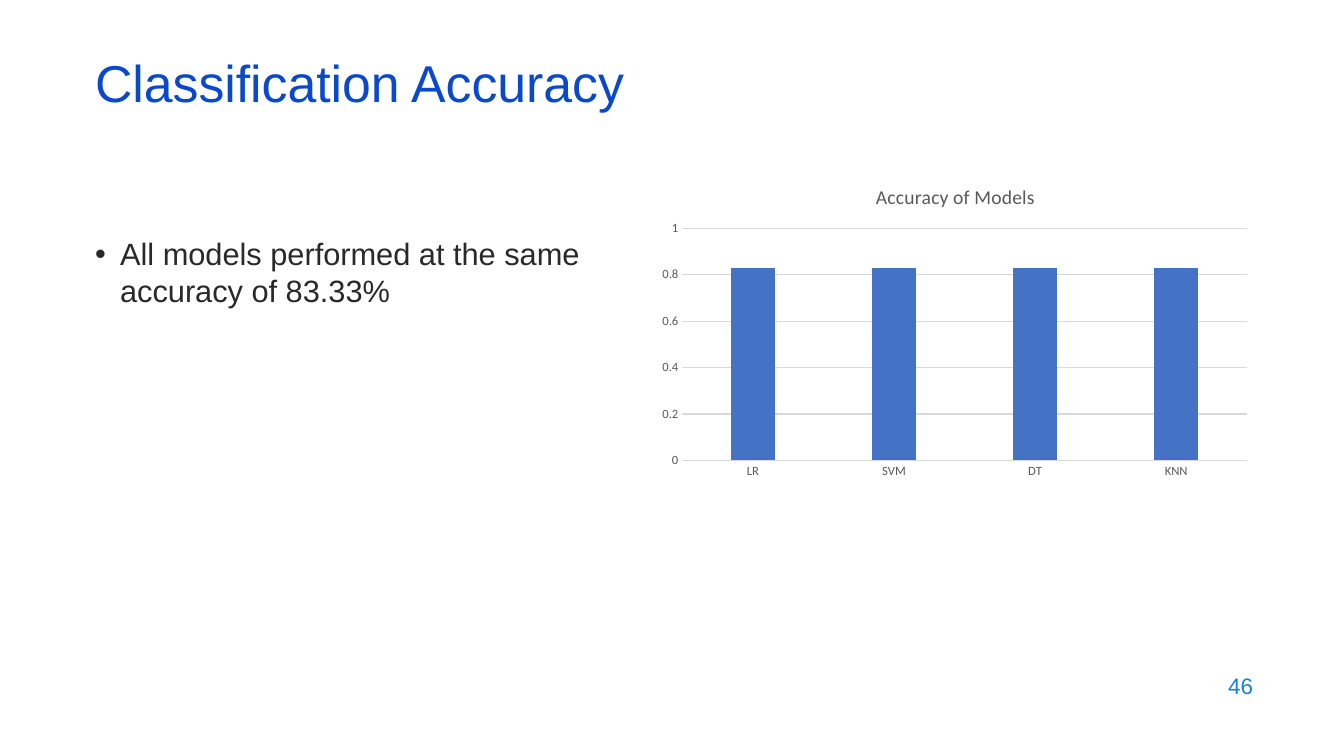
from lxml import etree
from pptx import Presentation, util as u
from pptx.chart.data import CategoryChartData
from pptx.dml.color import RGBColor
from pptx.enum import chart as ch, text as tx
from pptx.oxml import parse_xml
from pptx.oxml.ns import nsdecls, qn

PX = 914400 / 100.8
TITLE_BLUE = RGBColor(0x0B, 0x49, 0xCB)
NUMBER_BLUE = RGBColor(0x1C, 0x7D, 0xDB)
INK = RGBColor(0x29, 0x29, 0x29)
LABEL_GREY = RGBColor(0x59, 0x59, 0x59)
GRID_GREY = RGBColor(0xD9, 0xD9, 0xD9)
BAR_BLUE = RGBColor(0x44, 0x72, 0xC4)


def box(*lengths):
    return [u.Emu(round(length * PX)) for length in lengths]


def style(font, name, size, color):
    font.name = name
    font.size = u.Pt(size)
    font.color.rgb = color
    font.bold = False


deck = Presentation()
deck.slide_width, deck.slide_height = box(1344, 756)
slide = deck.slides.add_slide(deck.slide_layouts[1])

heading = slide.shapes.title
finding = slide.placeholders[1]
page_number = slide.shapes.add_textbox(*box(961, 664, 302, 44))
parts = [
    (heading, "Classification Accuracy", (85, 59, 1159, 60), 37, TITLE_BLUE,
     tx.PP_ALIGN.LEFT, tx.MSO_ANCHOR.MIDDLE),
    (finding, "All models performed at the same accuracy of 83.33%", (85, 230, 587, 420), 22, INK,
     tx.PP_ALIGN.LEFT, tx.MSO_ANCHOR.TOP),
    (page_number, "46", (961, 664, 302, 44), 16, NUMBER_BLUE,
     tx.PP_ALIGN.RIGHT, tx.MSO_ANCHOR.MIDDLE),
]
for part, words, place, size, color, align, anchor in parts:
    part.left, part.top, part.width, part.height = box(*place)
    frame = part.text_frame
    frame.text = words
    frame.word_wrap = True
    frame.auto_size = tx.MSO_AUTO_SIZE.NONE
    frame.vertical_anchor = anchor
    paragraph = frame.paragraphs[0]
    paragraph.alignment = align
    paragraph.space_before = u.Pt(0)
    if part is finding:
        indent = box(25)[0]
        properties = paragraph._p.get_or_add_pPr()
        properties.set("marL", str(indent))
        properties.set("indent", str(-indent))
        etree.SubElement(properties, qn("a:buChar")).set("char", "•")
    style(paragraph.font, "Arial", size, color)
heading.text_frame.paragraphs[0].line_spacing = 0.7

accuracy = CategoryChartData()
accuracy.categories = ["LR", "SVM", "DT", "KNN"]
accuracy.add_series("Series 1", [0.83] * 4)
chart = slide.shapes.add_chart(
    ch.XL_CHART_TYPE.COLUMN_CLUSTERED, *box(652, 168, 607, 318), accuracy).chart
style(chart.font, "Calibri", 10, LABEL_GREY)
chart.has_legend = False
chart.has_title = True
chart.chart_title.include_in_layout = False
chart_heading = chart.chart_title.text_frame
chart_heading.text = "Accuracy of Models"
style(chart_heading.paragraphs[0].font, "Calibri", 14, LABEL_GREY)

bars = chart.plots[0]
bars.gap_width = 219
bars.overlap = -27
bars.vary_by_categories = False
bars.series[0].format.fill.solid()
bars.series[0].format.fill.fore_color.rgb = BAR_BLUE

models, scores = chart.category_axis, chart.value_axis
for axis in (models, scores):
    axis.major_tick_mark = ch.XL_TICK_MARK.NONE
    axis.minor_tick_mark = ch.XL_TICK_MARK.NONE
    style(axis.tick_labels.font, "Calibri", 9, LABEL_GREY)
scores.minimum_scale, scores.maximum_scale, scores.major_unit = 0, 1, 0.2
scores.tick_labels.number_format = "General"
scores.tick_labels.number_format_is_linked = False
scores.format.line.fill.background()
for line in (models.format.line, scores.major_gridlines.format.line):
    line.color.rgb = GRID_GREY
    line.width = u.Pt(0.75)

plot_area = chart._chartSpace.chart.plotArea
for layout in plot_area.findall(qn("c:layout")):
    plot_area.remove(layout)
plot_area.insert(0, parse_xml(
    f'<c:layout {nsdecls("c")}><c:manualLayout><c:layoutTarget val="inner"/>'
    '<c:xMode val="edge"/><c:yMode val="edge"/><c:x val="0.05"/><c:y val="0.19"/>'
    '<c:w val="0.93"/><c:h val="0.73"/></c:manualLayout></c:layout>'))

deck.save("out.pptx")
